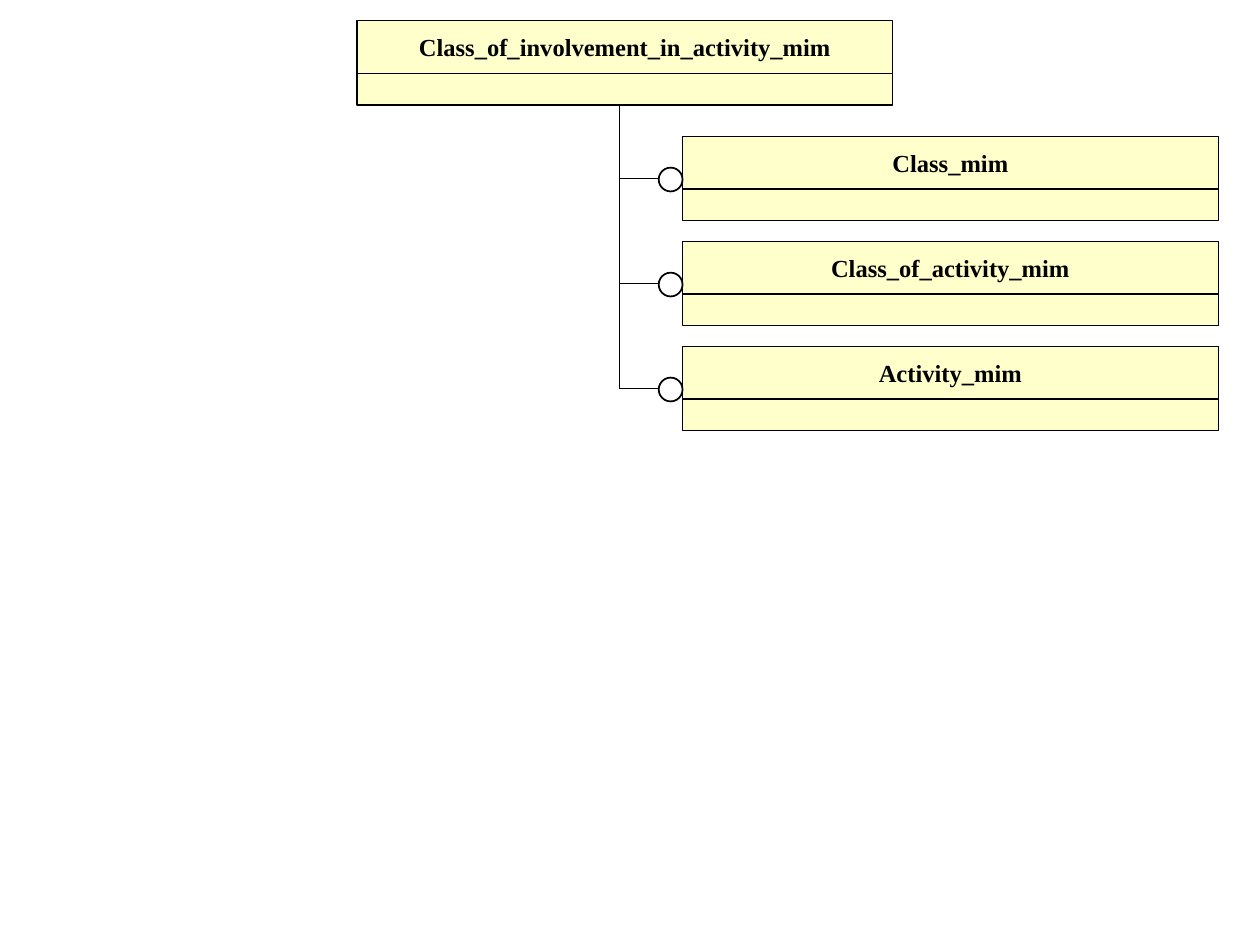
from dataclasses import dataclass

from lxml import etree
from pptx import Presentation
from pptx.dml.color import RGBColor
from pptx.enum.shapes import MSO_CONNECTOR, MSO_SHAPE
from pptx.enum.text import MSO_ANCHOR, PP_ALIGN
from pptx.oxml.ns import qn
from pptx.shapes.autoshape import Shape
from pptx.shapes.shapetree import GroupShapes, SlideShapes
from pptx.util import Cm, Pt

RECT = MSO_SHAPE.RECTANGLE
OVAL = MSO_SHAPE.OVAL
STRAIGHT = MSO_CONNECTOR.STRAIGHT
CENTER = PP_ALIGN.CENTER
MIDDLE = MSO_ANCHOR.MIDDLE

BLACK = RGBColor(0x00, 0x00, 0x00)
WHITE = RGBColor(0xFF, 0xFF, 0xFF)
CREAM = RGBColor(0xFF, 0xFF, 0xCC)
FONT = "Times New Roman"

WIDTH = 10.8
HEAD = 1.06
BODY = 0.64
PITCH = 6.35 / 3
TRUNK = 12.49
ELBOW = 0.85
TIP = 13.34
RING = 0.48


@dataclass(frozen=True)
class Entity:
    name: str
    left: float
    top: float


PARENT = Entity("Class_of_involvement_in_activity_mim", 7.2, 0.42)
NAMES = ("Class_mim", "Class_of_activity_mim", "Activity_mim")
PARTS = [Entity(name, 13.76, 2.75 + row * PITCH) for row, name in enumerate(NAMES)]


def write(shape: Shape, text: str, *, size: float = 14, bold: bool = True,
          color: RGBColor = BLACK) -> None:
    frame = shape.text_frame
    frame.word_wrap = False
    frame.vertical_anchor = MIDDLE
    para = frame.paragraphs[0]
    para.alignment = CENTER
    run = para.add_run()
    run.text = text
    run.font.name = FONT
    run.font.size = Pt(size)
    run.font.bold = bold
    run.font.color.rgb = color


def draw_shape(shapes: SlideShapes | GroupShapes, kind: MSO_SHAPE, left: float,
               top: float, width: float, height: float, *,
               fill: RGBColor, weight: float = 0.75) -> Shape:
    shape = shapes.add_shape(kind, Cm(left), Cm(top), Cm(width), Cm(height))
    shape.shadow.inherit = False
    shape.fill.solid()
    shape.fill.fore_color.rgb = fill
    shape.line.color.rgb = BLACK
    shape.line.width = Pt(weight)
    return shape


def draw_line(shapes: SlideShapes, x1: float, y1: float, x2: float, y2: float) -> None:
    line = shapes.add_connector(STRAIGHT, Cm(x1), Cm(y1), Cm(x2), Cm(y2))
    line.line.color.rgb = BLACK
    line.line.width = Pt(0.75)
    etree.SubElement(line._element.spPr, qn("a:effectLst"))


def draw_entity(shapes: SlideShapes, item: Entity) -> None:
    group = shapes.add_group_shape().shapes
    head = draw_shape(group, RECT, item.left, item.top, WIDTH, HEAD, fill=CREAM)
    write(head, item.name)
    draw_shape(group, RECT, item.left, item.top + HEAD, WIDTH, BODY, fill=CREAM)


def draw_branch(shapes: SlideShapes, item: Entity) -> None:
    level = item.top + ELBOW
    draw_line(shapes, TRUNK, level, TIP, level)
    draw_shape(shapes, OVAL, item.left - RING, item.top + 0.63, RING, RING,
               fill=WHITE, weight=1)


def main() -> None:
    deck = Presentation()
    deck.slide_width = Cm(25.4)
    deck.slide_height = Cm(19.05)
    shapes = deck.slides.add_slide(deck.slide_layouts[6]).shapes

    for item in (PARENT, *PARTS):
        draw_entity(shapes, item)
    draw_line(shapes, TRUNK, PARTS[-1].top + ELBOW, TRUNK, PARENT.top + HEAD + BODY)
    for item in PARTS:
        draw_branch(shapes, item)

    deck.save("out.pptx")


if __name__ == "__main__":
    main()
